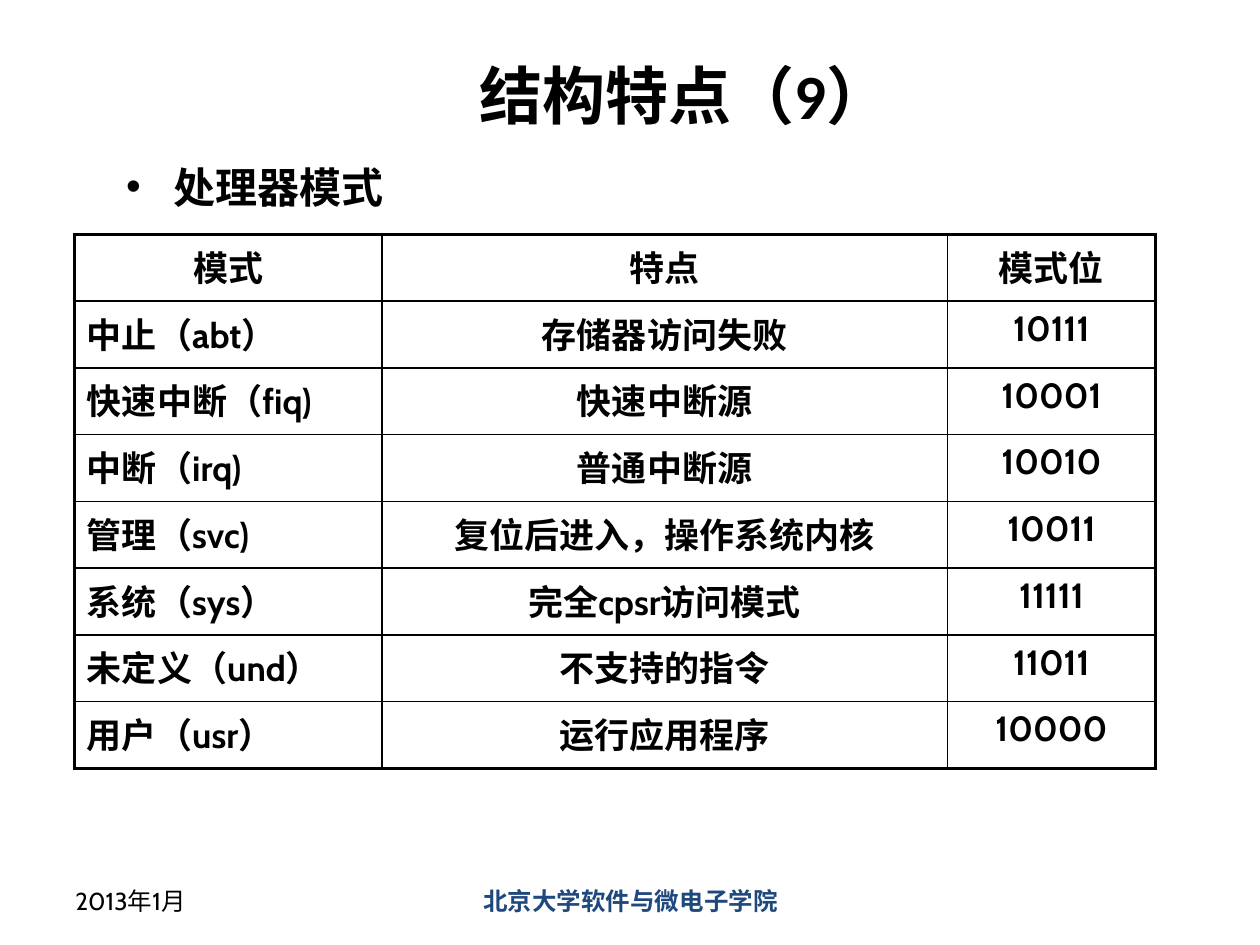
from dataclasses import dataclass

from lxml import etree
from pptx import Presentation
from pptx.dml.color import RGBColor
from pptx.enum.text import MSO_ANCHOR, MSO_AUTO_SIZE, PP_ALIGN
from pptx.oxml.ns import qn
from pptx.util import Pt

LEFT, MID = PP_ALIGN.LEFT, PP_ALIGN.CENTER
TOP, CORE = MSO_ANCHOR.TOP, MSO_ANCHOR.MIDDLE
FIXED = MSO_AUTO_SIZE.NONE
PX = 9144


@dataclass(frozen=True)
class Theme:
    ink: str = "000000"
    navy: str = "1F497D"
    head: str = "Calibri"
    body: str = "Cabin"
    title: int = 36
    list: int = 24
    cell: int = 20
    foot: int = 14
    thin: float = 1
    thick: float = 2.25


THEME = Theme()
COLS = (244, 449, 165)
ROW = 53
MODES = (
    ("模式", "特点", "模式位"),
    ("中止（abt）", "存储器访问失败", "10111"),
    ("快速中断（fiq)", "快速中断源", "10001"),
    ("中断（irq)", "普通中断源", "10010"),
    ("管理（svc)", "复位后进入，操作系统内核", "10011"),
    ("系统（sys）", "完全cpsr访问模式", "11111"),
    ("未定义（und）", "不支持的指令", "11011"),
    ("用户（usr）", "运行应用程序", "10000"),
)


def px(*nums):
    return [num * PX for num in nums]


def write(frame, text, size, font=THEME.body, color=THEME.ink,
          bold=True, align=LEFT, bullet=None):
    para = frame.paragraphs[0]
    para.text = text
    para.alignment = align
    para.space_before = Pt(0)
    if bullet:
        props = para._p.get_or_add_pPr()
        dent = 38 * PX
        props.set("marL", str(dent))
        props.set("indent", str(-dent))
        etree.SubElement(props, qn("a:buFont"), typeface="Arial")
        etree.SubElement(props, qn("a:buChar"), char=bullet)
    style = para.runs[0].font
    style.name, style.size, style.bold = font, Pt(size), bold
    style.color.rgb = RGBColor.from_string(color)


def place(shape, box, anchor):
    shape.left, shape.top, shape.width, shape.height = px(*box)
    frame = shape.text_frame
    frame.word_wrap = True
    frame.auto_size = FIXED
    frame.vertical_anchor = anchor
    return frame


def label(slide, box, text, **style):
    shape = slide.shapes.add_textbox(*px(*box))
    write(place(shape, box, CORE), text, THEME.foot, **style)


def edge(cell, outer):
    props = cell._tc.get_or_add_tcPr()
    for spot, (side, thick) in enumerate(outer.items()):
        width = THEME.thick if thick else THEME.thin
        line = etree.Element(qn(f"a:ln{side}"), w=str(Pt(width)))
        fill = etree.SubElement(line, qn("a:solidFill"))
        etree.SubElement(fill, qn("a:srgbClr"), val=THEME.ink)
        props.insert(spot, line)


def grid(slide, left, top, data):
    rows, cols = len(data), len(COLS)
    box = px(left, top, sum(COLS), ROW * rows)
    table = slide.shapes.add_table(rows, cols, *box).table
    table.first_row = table.horz_banding = False
    for col, width in zip(table.columns, COLS):
        col.width = width * PX
    for r, line in enumerate(data):
        table.rows[r].height = ROW * PX
        for c, text in enumerate(line):
            cell = table.cell(r, c)
            cell.fill.background()
            align = LEFT if r and not c else MID
            write(cell.text_frame, text, THEME.cell, align=align)
            edge(cell, {"L": c == 0, "R": c == cols - 1,
                        "T": r == 0, "B": r == rows - 1})


def main():
    deck = Presentation()
    deck.slide_width, deck.slide_height = px(1000, 750)
    slide = deck.slides.add_slide(deck.slide_layouts[1])
    title, body = slide.placeholders
    label(slide, (50, 695, 233, 40), "2013年1月", bold=False)
    label(slide, (342, 695, 317, 40), "北京大学软件与微电子学院",
          color=THEME.navy, align=MID)
    write(place(title, (117, 50, 852, 50), CORE), "结构特点（9）",
          THEME.title, font=THEME.head, align=MID)
    write(place(body, (90, 123, 417, 533), TOP), "处理器模式",
          THEME.list, font=THEME.head, bullet="•")
    grid(slide, 59, 186, MODES)
    deck.save("out.pptx")


if __name__ == "__main__":
    main()
